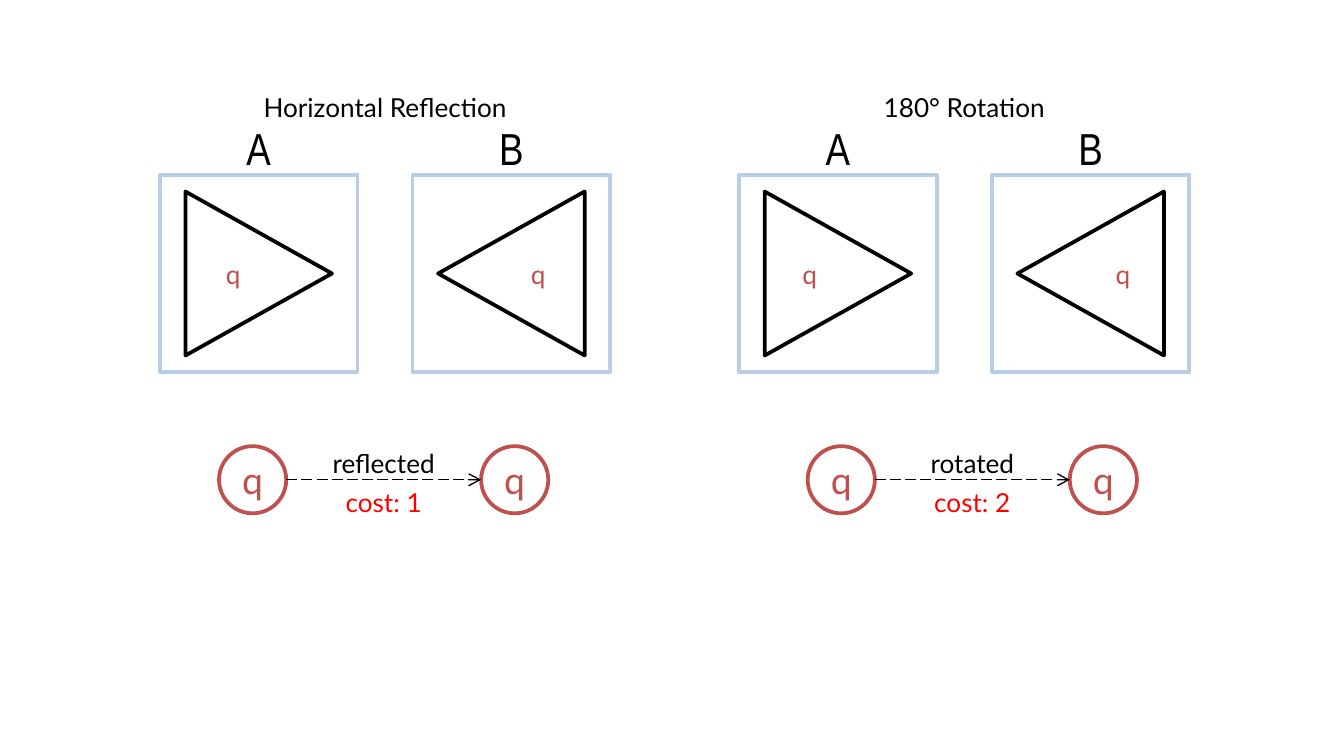
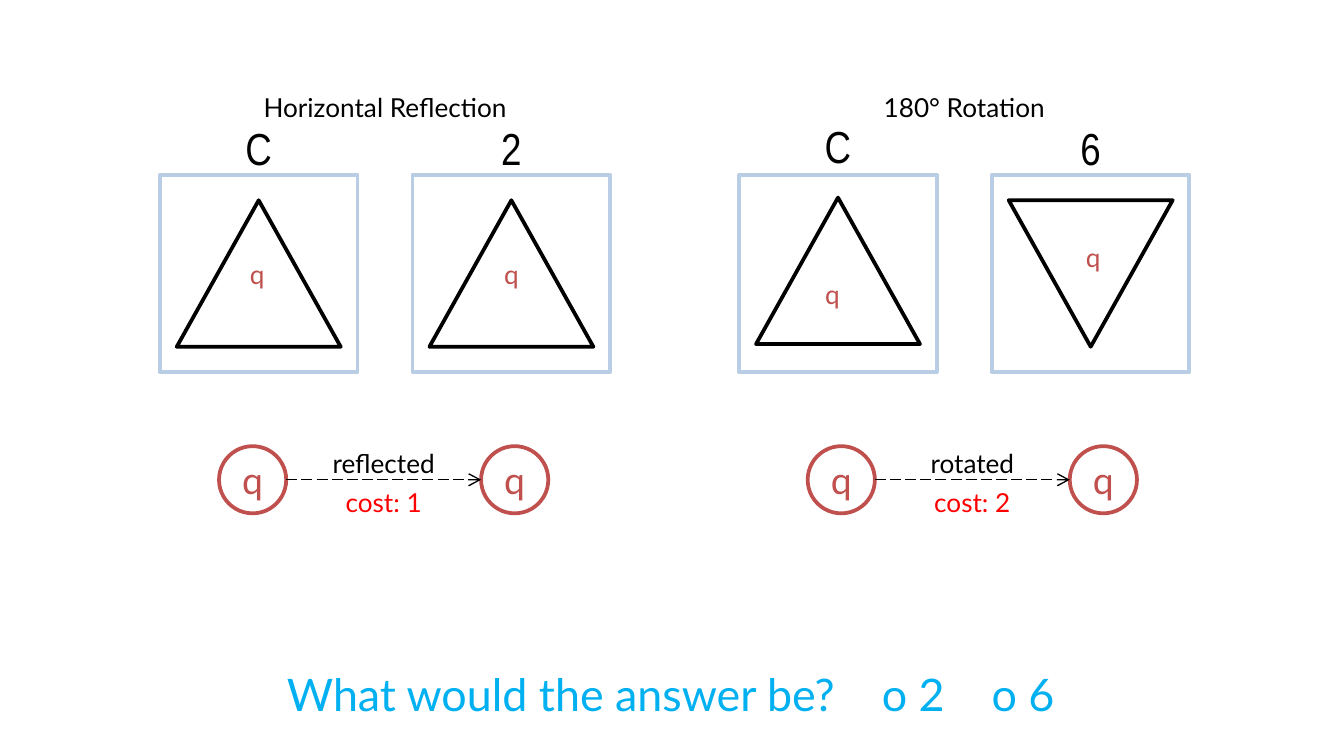
from dataclasses import dataclass

from lxml import etree
from pptx import Presentation
from pptx.dml.color import RGBColor
from pptx.enum.dml import MSO_LINE
from pptx.enum.shapes import MSO_CONNECTOR, MSO_SHAPE
from pptx.enum.text import MSO_ANCHOR, MSO_AUTO_SIZE, PP_ALIGN
from pptx.oxml.ns import qn
from pptx.util import Inches, Pt

RECT, TRIANGLE, OVAL = MSO_SHAPE.RECTANGLE, MSO_SHAPE.ISOSCELES_TRIANGLE, MSO_SHAPE.OVAL
STRAIGHT, LONG_DASH = MSO_CONNECTOR.STRAIGHT, MSO_LINE.LONG_DASH
TOP, MIDDLE, BOTTOM = MSO_ANCHOR.TOP, MSO_ANCHOR.MIDDLE, MSO_ANCHOR.BOTTOM
LEFT, CENTER = PP_ALIGN.LEFT, PP_ALIGN.CENTER
FIT_SHAPE = MSO_AUTO_SIZE.SHAPE_TO_FIT_TEXT


@dataclass(frozen=True)
class Theme:
    font: str = "Lato"
    narrow: str = "Arial Narrow"
    ink: str = "000000"
    frame: str = "B9CDE5"
    node: str = "C0504D"
    cost: str = "FF0000"
    question: str = "00B0F0"
    paper: str = "FFFFFF"
    body: float = 14
    node_size: float = 20
    large: float = 24
    outline: float = 2
    arrow: float = 0.75
    marker: float = 6
    gap_spacing: float = 19  # widens one space into a gap between choices


@dataclass(frozen=True)
class Panel:
    label: str
    rotation: int
    q_left: float  # offset of the letter inside the frame
    q_top: float
    lift: float = 0  # upward shift of label and triangle


# Layout in inches
PANEL, PANEL_STEP, PANEL_TOP = 1.47, 1.88, 1.3
TRI_W, TRI_H = 1.22, 1.09
NODE, NODE_STEP, NODE_TOP = 0.5, 1.95, 3.32
LINE_H = 0.34

# Heading, panel left, first node left, link label, cost
TRANSFORMS = [
    ("Horizontal Reflection", 1.19, 1.63, "reflected", "cost: 1"),
    ("180° Rotation", 5.5, 6.01, "rotated", "cost: 2"),
]
KNOWN_PAIRS = [
    [Panel("A", 90, 0.49, 0.62), Panel("B", 270, 0.88, 0.62)],
    [Panel("A", 90, 0.47, 0.62), Panel("B", 270, 0.92, 0.62)],
]
ANSWER_PAIRS = [
    [Panel("C", 0, 0.67, 0.62), Panel("2", 0, 0.68, 0.62)],
    [Panel("C", 0, 0.64, 0.77, lift=0.02), Panel("6", 180, 0.7, 0.5)],
]


class Deck:
    def __init__(self, theme):
        self.theme = theme
        self.prs = Presentation()
        self.prs.slide_width = Inches(10)
        self.prs.slide_height = Inches(10) * 9 // 16
        self.slide = None

    def new_slide(self):
        self.slide = self.prs.slides.add_slide(self.prs.slide_layouts[6])

    def style_text(self, frame, color, size, font, align, anchor, inset):
        frame.vertical_anchor = anchor
        if not inset:
            frame.margin_left = frame.margin_right = 0
            frame.margin_top = frame.margin_bottom = 0
        for paragraph in frame.paragraphs:
            paragraph.alignment = align
            for run in paragraph.runs:
                run.font.name, run.font.size = font, Pt(size)
                run.font.color.rgb = RGBColor.from_string(color)

    def text(self, pieces, left, top, width, height, color=None, size=None, font=None,
             align=CENTER, anchor=TOP, inset=True, wrap=True):
        box = self.slide.shapes.add_textbox(
            Inches(left), Inches(top), Inches(width), Inches(height))
        frame = box.text_frame
        frame.word_wrap, frame.auto_size = wrap, FIT_SHAPE
        for piece in pieces:
            frame.paragraphs[0].add_run().text = piece
        theme = self.theme
        self.style_text(frame, color or theme.ink, size or theme.body,
                        font or theme.font, align, anchor, inset)
        return frame.paragraphs[0].runs

    def outline(self, kind, left, top, width, height, color, rotation=0):
        shape = self.slide.shapes.add_shape(
            kind, Inches(left), Inches(top), Inches(width), Inches(height))
        shape.shadow.inherit = False
        shape.fill.background()
        shape.line.color.rgb = RGBColor.from_string(color)
        shape.line.width = Pt(self.theme.outline)
        shape.rotation = rotation
        return shape

    def node(self, left):
        theme = self.theme
        circle = self.outline(OVAL, left, NODE_TOP, NODE, NODE, theme.node)
        circle.fill.solid()
        circle.fill.fore_color.rgb = RGBColor.from_string(theme.paper)
        circle.text_frame.text = "q"
        self.style_text(circle.text_frame, theme.node, theme.node_size, theme.font,
                        CENTER, MIDDLE, inset=False)

    def arrow(self, start, end, y):
        link = self.slide.shapes.add_connector(
            STRAIGHT, Inches(start), Inches(y), Inches(end), Inches(y))
        link.line.color.rgb = RGBColor.from_string(self.theme.ink)
        link.line.width = Pt(self.theme.arrow)
        link.line.dash_style = LONG_DASH
        properties = link.element.find(qn("p:spPr"))
        etree.SubElement(properties.find(qn("a:ln")), qn("a:tailEnd"), type="arrow")
        etree.SubElement(properties, qn("a:effectLst"))

    def panel(self, panel, left):
        theme = self.theme
        self.outline(RECT, left, PANEL_TOP, PANEL, PANEL, theme.frame)
        self.outline(TRIANGLE, left + (PANEL - TRI_W) / 2,
                     PANEL_TOP + (PANEL - TRI_H) / 2 - panel.lift,
                     TRI_W, TRI_H, theme.ink, panel.rotation)
        self.text(["q"], left + panel.q_left, PANEL_TOP + panel.q_top, 0.12, 0.24,
                  theme.node, align=LEFT, inset=False, wrap=False)
        self.text([panel.label], left, PANEL_TOP - 0.4 - panel.lift, PANEL, 0.4,
                  size=theme.large, font=theme.narrow, anchor=BOTTOM, inset=False)

    def transition(self, left, label, cost):
        start, end, y = left + NODE, left + NODE_STEP, NODE_TOP + NODE / 2
        self.node(left)
        self.node(end)
        self.arrow(start, end, y)
        self.text([label], start, y - 0.29, end - start, LINE_H)
        self.text([cost], start, y, end - start, LINE_H, self.theme.cost)

    def analogy(self, pairs):
        self.new_slide()
        for (heading, left, node_left, label, cost), pair in zip(TRANSFORMS, pairs):
            for column, panel in enumerate(pair):
                self.panel(panel, left + column * PANEL_STEP)
            self.text([heading], left, 0.63, PANEL_STEP + PANEL, LINE_H)
            self.transition(node_left, label, cost)

    def question(self):
        theme = self.theme
        runs = self.text(["What would the answer be?", " ", "ο", " 2", " ", "ο 6"],
                         0, 4.91, 9.98, 0.5, theme.question, theme.large)
        # Wide gaps before each choice
        for gap in (runs[1], runs[4]):
            gap.font._element.set("spc", str(round(theme.gap_spacing * 100)))
        # Heavy outline on the first choice
        marker = etree.Element(qn("a:ln"), w=str(Pt(theme.marker)))
        fill = etree.SubElement(marker, qn("a:solidFill"))
        etree.SubElement(fill, qn("a:srgbClr"), val=theme.question)
        runs[2].font._element.insert(0, marker)


def main():
    deck = Deck(Theme())

    # Known transformation from A to B
    deck.analogy(KNOWN_PAIRS)

    # Candidate answers for C
    deck.analogy(ANSWER_PAIRS)
    deck.question()

    deck.prs.save("out.pptx")


if __name__ == "__main__":
    main()
